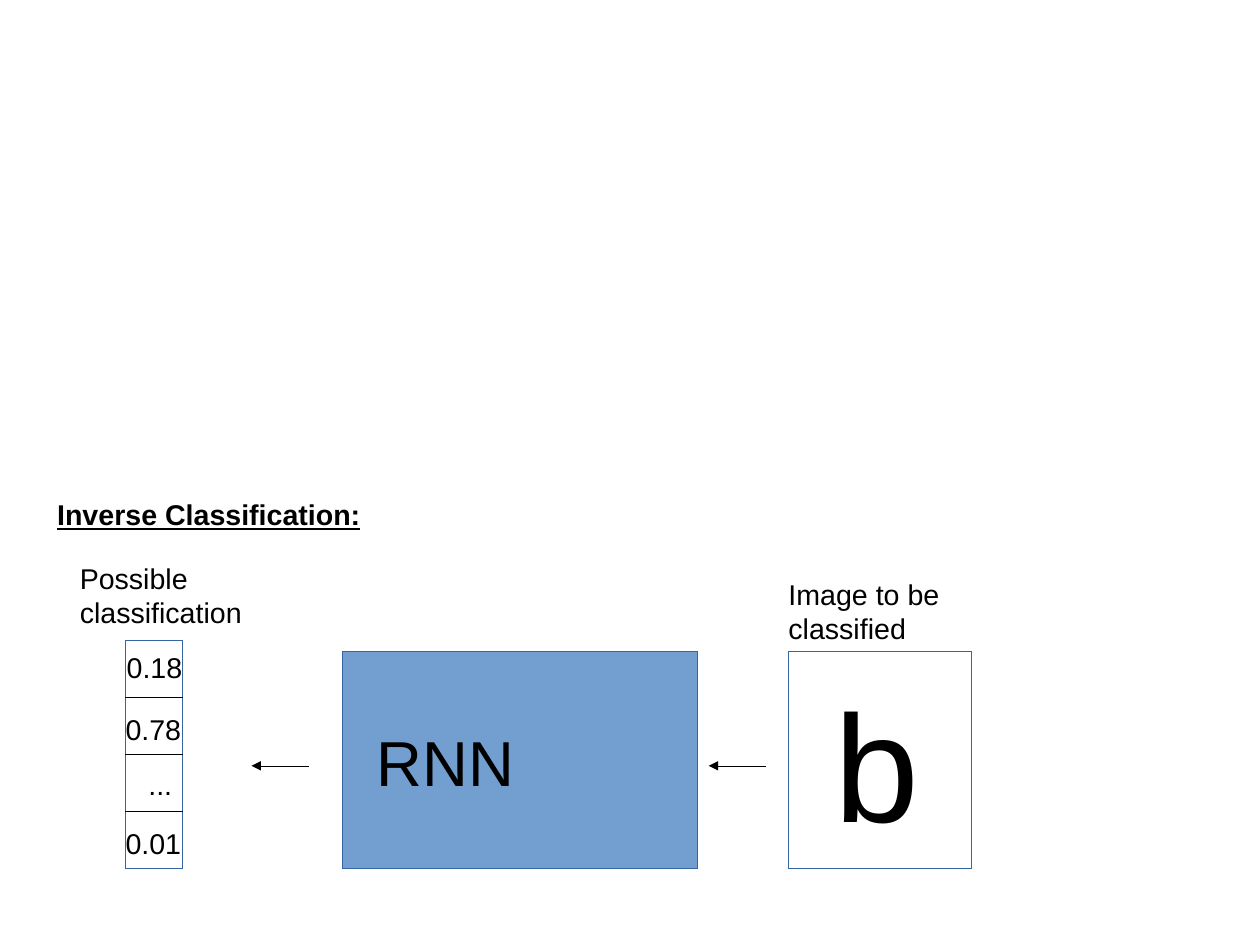
from lxml.etree import SubElement
from pptx import Presentation
from pptx.dml.color import RGBColor
from pptx.enum.shapes import MSO_CONNECTOR as LINE, MSO_SHAPE as SHAPE
from pptx.enum.text import MSO_ANCHOR as ANCHOR, MSO_AUTO_SIZE as FIT, PP_ALIGN as ALIGN
from pptx.oxml.ns import qn
from pptx.util import Cm, Inches, Pt

BLACK = RGBColor(0x00, 0x00, 0x00)
WHITE = RGBColor(0xFF, 0xFF, 0xFF)
BLUE = RGBColor(0x72, 0x9F, 0xCF)
EDGE = RGBColor(0x34, 0x65, 0xA4)

deck = Presentation()
deck.slide_width, deck.slide_height = Cm(28), Cm(21)
slide = deck.slides.add_slide(deck.slide_layouts[5])
shapes = slide.shapes


def write(box, text, size):
    frame = box.text_frame
    frame.word_wrap = True
    frame.auto_size = FIT.SHAPE_TO_FIT_TEXT
    frame.vertical_anchor = ANCHOR.TOP
    frame.text = text
    par = frame.paragraphs[0]
    par.alignment = ALIGN.LEFT
    par.font.name = "Arial"
    par.font.size = Pt(size)
    par.font.color.rgb = BLACK
    return par


def set_hairline(shape, color):
    """Colour the outline and store its zero width, which line.width would drop."""
    shape.line.color.rgb = color
    edge = shape.line._get_or_add_ln()
    edge.set("w", "0")
    return edge


# Heading
title = shapes.title
title.left, title.top = Inches(0.4), Inches(4.3)
title.width, title.height = Inches(3.8), Inches(0.4)
head = write(title, "Inverse Classification:", 18)
head.font.bold = head.font.underline = True

# Image, network and score list
for left, top, width, height, fill in [
    (6.9, 5.7, 1.6, 1.9, WHITE),
    (3, 5.7, 3.1, 1.9, BLUE),
    (1.1, 5.6, 0.5, 2, None),
]:
    box = shapes.add_shape(SHAPE.RECTANGLE, Inches(left), Inches(top), Inches(width), Inches(height))
    box.shadow.inherit = False
    if fill is None:
        box.fill.background()
    else:
        box.fill.solid()
        box.fill.fore_color.rgb = fill
    set_hairline(box, EDGE)
scores = box

# Arrows between the parts, then dividers of the score list
for start, y, has_head in [
    (6.7, 6.7, True),
    (2.7, 6.7, True),
    (1.6, 6.1, False),
    (1.6, 6.6, False),
    (1.6, 7.1, False),
]:
    line = shapes.add_connector(
        LINE.STRAIGHT, Inches(start), Inches(y), Inches(start - 0.5), Inches(y)
    )
    edge = set_hairline(line, BLACK)
    SubElement(line._element.spPr, qn("a:effectLst"))
    if has_head:
        SubElement(edge, qn("a:tailEnd"), type="triangle")
    elif y == 6.6:
        line.begin_connect(scores, 3)
        line.end_connect(scores, 1)

# Labels
for text, left, top, width, height, size in [
    ("b", 7.2, 5.81, 1.4, 1.59, 96),
    ("RNN", 3.2, 6.28, 2.7, 0.72, 40),
    ("Image to be classified", 6.8, 5, 1.8, 0.66, 18),
    ("Possible classification", 0.6, 4.86, 1.8, 0.66, 18),
    ("0.18", 1.01, 5.64, 0.8, 0.38, 18),
    ("0.78", 1, 6.18, 0.7, 0.38, 18),
    ("...", 1.2, 6.66, 0.6, 0.38, 18),
    ("0.01", 1, 7.18, 1, 0.38, 18),
]:
    label = shapes.add_textbox(Inches(left), Inches(top), Inches(width), Inches(height))
    write(label, text, size)

deck.save("out.pptx")
